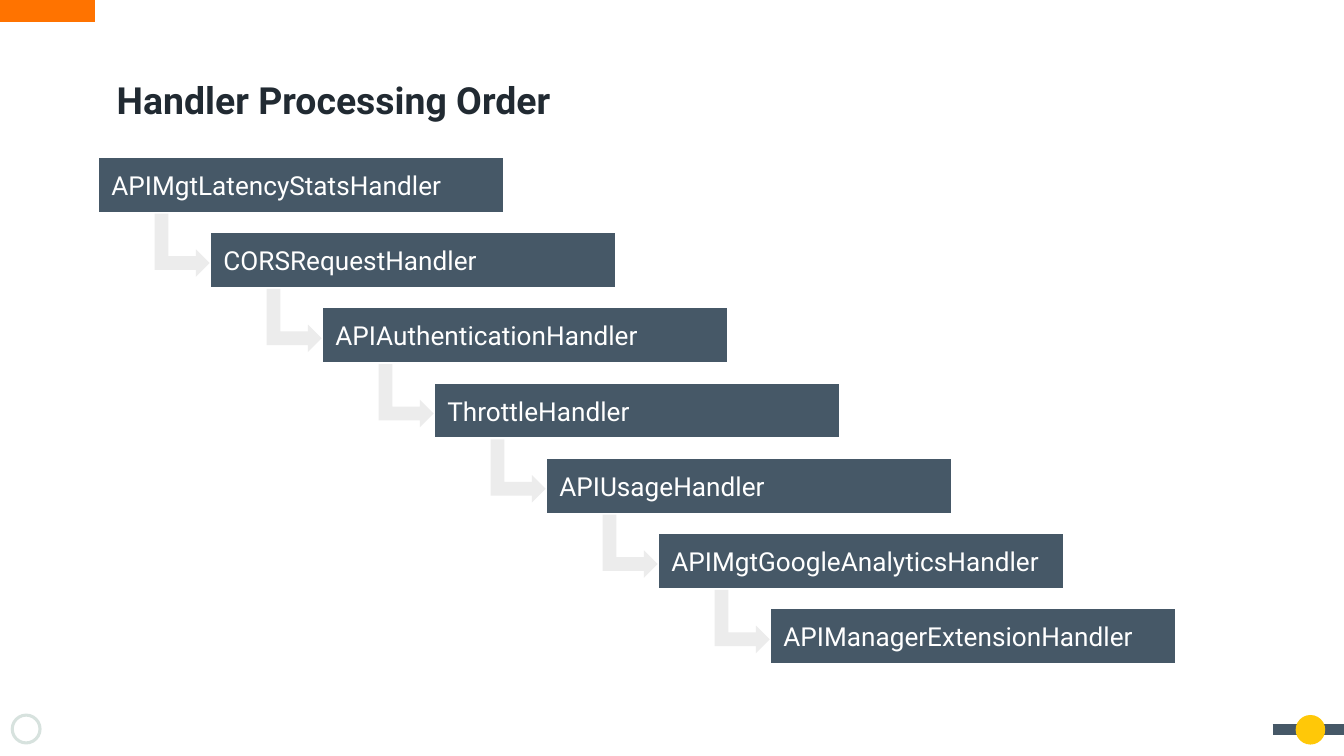
"""Build the Handler Processing Order slide: a staircase of handlers."""
from lxml import etree
from pptx import Presentation
from pptx.dml.color import RGBColor
from pptx.enum.shapes import MSO_CONNECTOR as CONNECTOR, MSO_SHAPE as SHAPE
from pptx.enum.text import MSO_ANCHOR as ANCHOR, PP_ALIGN as ALIGN
from pptx.oxml.ns import qn
from pptx.util import Inches, Pt

COLORS = {
    "orange": "FF7300",
    "slate": "465867",
    "yellow": "FFC808",
    "mist": "D7E2DE",
    "ink": "212A32",
    "white": "FFFFFF",
    "arrow": "ECECEC",
}
HANDLERS = [
    "APIMgtLatencyStatsHandler",
    "CORSRequestHandler",
    "APIAuthenticationHandler",
    "ThrottleHandler",
    "APIUsageHandler",
    "APIMgtGoogleAnalyticsHandler",
    "APIManagerExtensionHandler",
]
STEP_X, STEP_Y = 5 / 6, 0.56


def add_filled(kind, left, top, width, height, color):
    shape = slide.shapes.add_shape(
        kind, Inches(left), Inches(top), Inches(width), Inches(height))
    shape.shadow.inherit = False
    shape.fill.solid()
    shape.fill.fore_color.rgb = RGBColor.from_string(COLORS[color])
    shape.line.fill.background()
    return shape


def write(shape, text, size, color, bold=False):
    frame = shape.text_frame
    frame.word_wrap = True
    frame.vertical_anchor = ANCHOR.MIDDLE
    frame.margin_left = frame.margin_right = Inches(0.1)
    frame.margin_top = frame.margin_bottom = Inches(0.1)
    paragraph = frame.paragraphs[0]
    paragraph.text = text
    paragraph.alignment = ALIGN.LEFT
    paragraph.font.name = "Roboto"
    paragraph.font.size = Pt(size)
    paragraph.font.bold = bold
    paragraph.font.color.rgb = RGBColor.from_string(COLORS[color])


prs = Presentation()
prs.slide_width = Inches(10)
prs.slide_height = Inches(10 * 9 / 16)
slide = prs.slides.add_slide(prs.slide_layouts[6])

for start, end, y, color, weight in [
    (-0.03, 0.71, 0.08, "orange", 12),
    (9.47, 10.04, 5.43, "slate", 6),
]:
    bar = slide.shapes.add_connector(
        CONNECTOR.STRAIGHT, Inches(start), Inches(y), Inches(end), Inches(y))
    bar.line.color.rgb = RGBColor.from_string(COLORS[color])
    bar.line.width = Pt(weight)
    etree.SubElement(bar.element.spPr, qn("a:effectLst"))

add_filled(SHAPE.OVAL, 9.64, 5.32, 0.22, 0.22, "yellow")
badge = add_filled(SHAPE.DONUT, 0.08, 5.31, 0.23, 0.23, "mist")
badge.adjustments[0] = 0.1

title = slide.shapes.add_textbox(
    Inches(0.77), Inches(0.5), Inches(8.51), Inches(0.48))
write(title, "Handler Processing Order", 20, "ink", bold=True)

for step, name in enumerate(HANDLERS):
    handler = add_filled(
        SHAPE.RECTANGLE, 0.73 + step * STEP_X, 1.17 + step * STEP_Y,
        3.02, 0.41, "slate")
    handler.line.color.rgb = RGBColor.from_string(COLORS["white"])
    handler.line.width = Pt(0.75)
    write(handler, name, 14, "white")

for step in range(len(HANDLERS) - 1):
    arrow = add_filled(
        SHAPE.BENT_UP_ARROW, 1.12 + step * STEP_X, 1.62 + step * STEP_Y,
        0.47, 0.41, "arrow")
    arrow.rotation = 90

prs.save("out.pptx")
